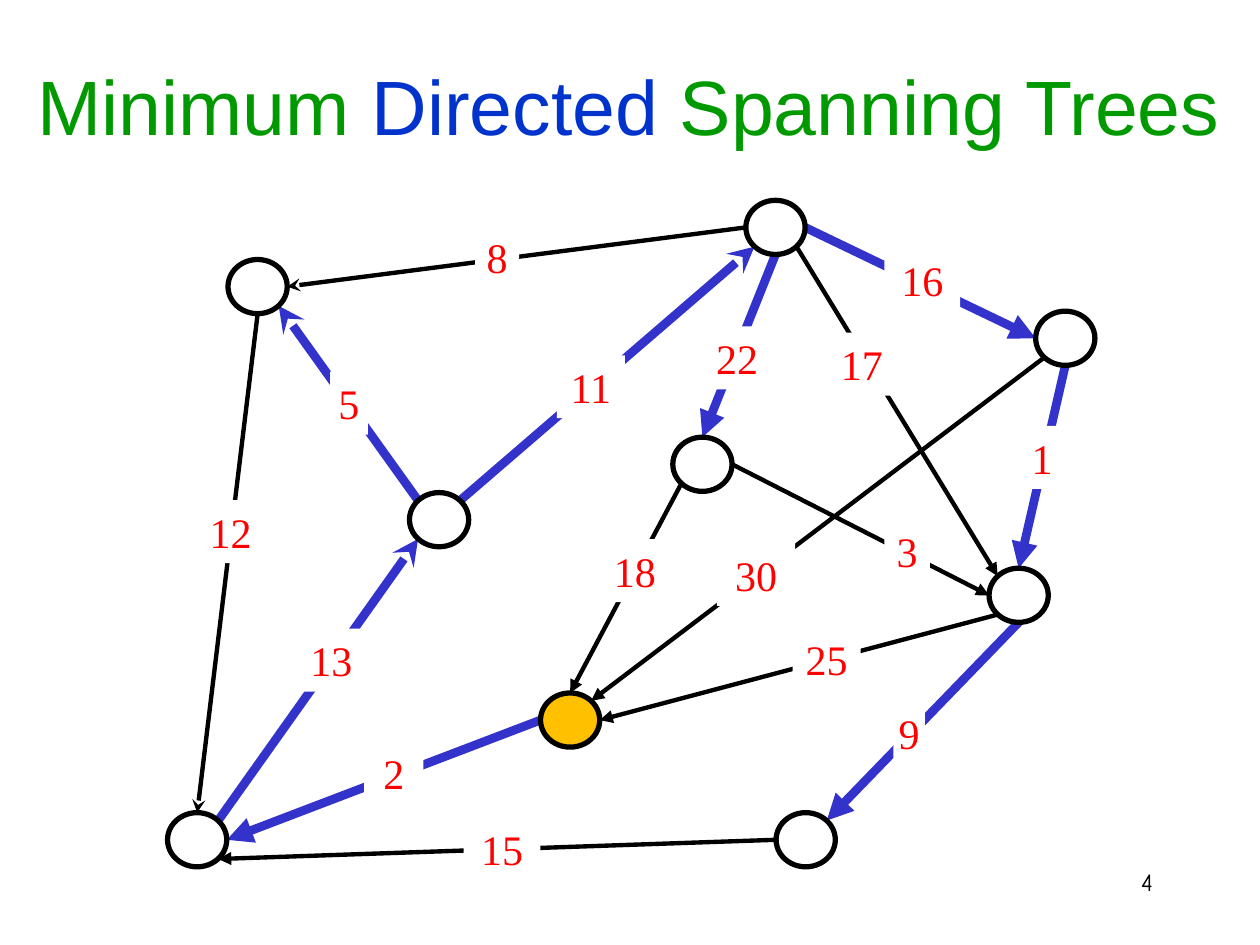
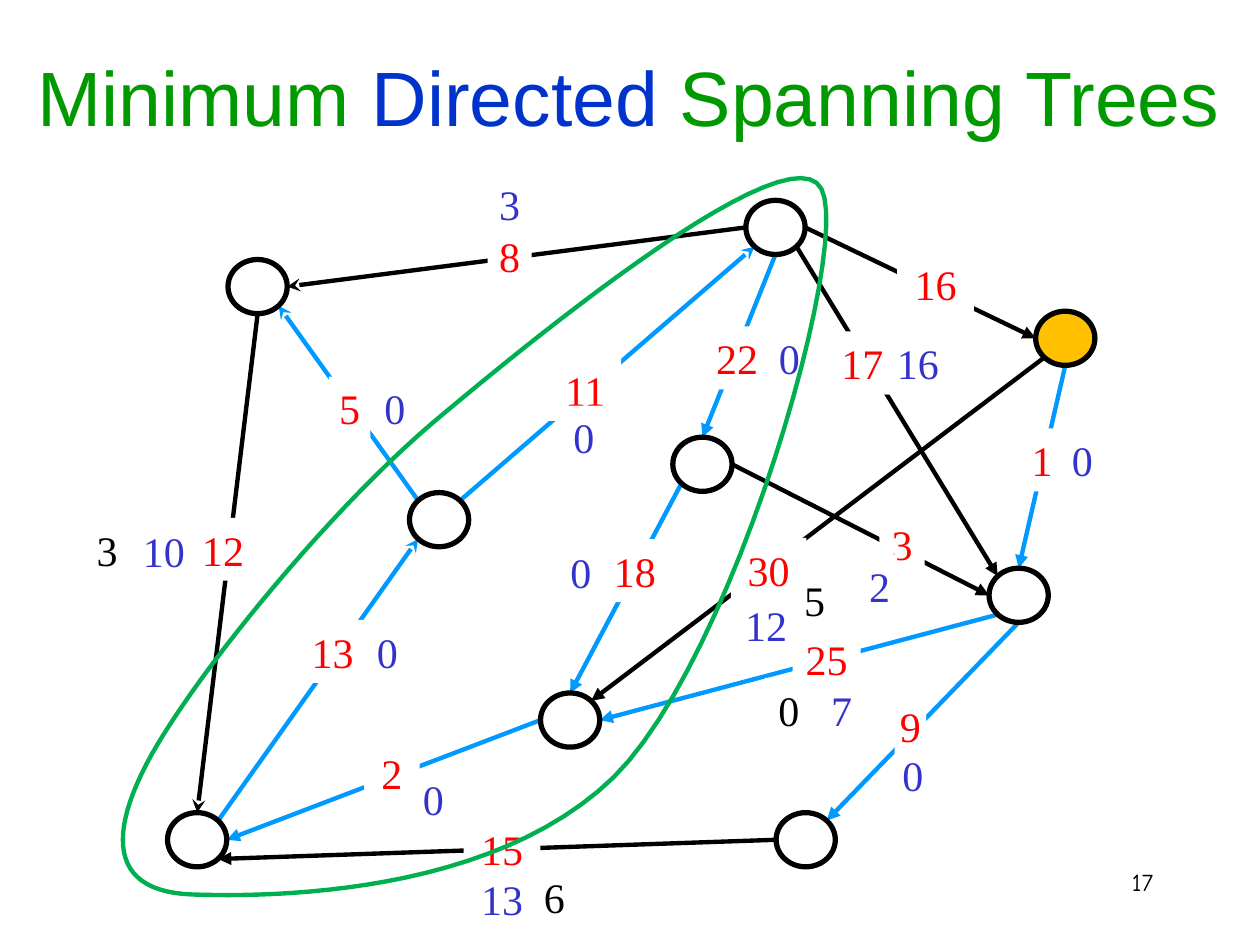
from lxml import etree
from pptx import Presentation
from pptx.dml.color import RGBColor
from pptx.enum.shapes import MSO_CONNECTOR, MSO_SHAPE
from pptx.enum.text import MSO_ANCHOR, MSO_AUTO_SIZE, PP_ALIGN
from pptx.oxml.ns import qn
from pptx.util import Inches, Pt

STRAIGHT = MSO_CONNECTOR.STRAIGHT
OVAL, RECTANGLE = MSO_SHAPE.OVAL, MSO_SHAPE.RECTANGLE
CENTER, RIGHT = PP_ALIGN.CENTER, PP_ALIGN.RIGHT
TOP, MIDDLE = MSO_ANCHOR.TOP, MSO_ANCHOR.MIDDLE
NO_FIT = MSO_AUTO_SIZE.NONE

COLORS = {
    "black": "000000", "white": "FFFFFF", "weight": "FF0000",
    "indigo": "3333CC", "sky": "0099FF", "root": "FFC000",
    "cycle": "00B050", "title": "009900", "directed": "0033CC",
}
TITLE = [("Minimum ", "title"), ("Directed", "directed"), (" Spanning Trees", "title")]
CANVAS = (0, 0)
NODE_WIDTH, NODE_HEIGHT = 0.47, 0.43
LABEL_HEIGHT = 0.5
CURVE_STEPS = 24

NODES = {
    "A": (1.81, 2.06), "B": (5.92, 1.59), "C": (8.22, 2.47),
    "D": (3.25, 3.91), "E": (5.34, 3.47), "F": (7.85, 4.51),
    "G": (4.29, 5.5), "H": (1.33, 6.45), "I": (6.16, 6.45),
}
DIAGONAL = 0.71
SITES = {
    "top": (0, -1), "bottom": (0, 1), "left": (-1, 0), "right": (1, 0),
    "top left": (-DIAGONAL, -DIAGONAL), "top right": (DIAGONAL, -DIAGONAL),
    "bottom left": (-DIAGONAL, DIAGONAL), "bottom right": (DIAGONAL, DIAGONAL),
}
EDGES = {
    5: ("D", "top left", "A", "bottom right", "stealth"),
    11: ("D", "top right", "B", "bottom left", "stealth"),
    1: ("C", "bottom", "F", "top", "triangle"),
    3: ("E", "right", "F", "left", "triangle"),
    2: ("G", "left", "H", "right", "triangle"),
    15: ("I", "left", "H", "bottom right", "triangle"),
    9: ("F", "bottom", "I", "top right", "triangle"),
    8: ("B", "left", "A", "right", "stealth"),
    12: ("A", "bottom", "H", "top", "stealth"),
    13: ("H", "top right", "D", "bottom left", "stealth"),
    25: ("F", "bottom left", "G", "right", "triangle"),
    30: ("C", "bottom left", "G", "top right", "triangle"),
    17: ("B", "bottom right", "F", "top left", "triangle"),
    18: ("E", "bottom left", "G", "top", "triangle"),
    16: ("B", "right", "C", "left", "triangle"),
    22: ("B", "bottom", "E", "top", "triangle"),
}

TREE_WEIGHTS = {
    5: (2.62, 2.95, 0.3), 12: (1.56, 3.97, 0.54), 8: (3.77, 1.79, 0.35),
    15: (3.68, 6.49, 0.61), 3: (7.02, 4.12, 0.36), 1: (8.11, 3.38, 0.32),
    9: (7.09, 5.57, 0.25), 16: (7.02, 1.97, 0.6), 13: (2.35, 4.99, 0.56),
    2: (2.89, 5.88, 0.47, 0.79), 17: (6.56, 2.64, 0.56), 25: (6.29, 4.98, 0.54),
    11: (4.42, 2.82, 0.54), 30: (5.69, 4.31, 0.62), 18: (4.76, 4.28, 0.56),
    22: (5.57, 2.59, 0.56),
}
CYCLE_WEIGHTS = TREE_WEIGHTS | {
    5: (2.61, 2.99, 0.33), 12: (1.5, 4.11, 0.54), 8: (3.87, 1.78, 0.35),
    3: (6.98, 4.07, 0.36), 1: (8.11, 3.4, 0.32), 9: (7.1, 5.51, 0.25),
    16: (7.12, 2, 0.61), 13: (2.35, 4.92, 0.58), 2: (2.89, 5.88, 0.44),
    17: (6.54, 2.63, 0.61), 11: (4.36, 2.84, 0.57), 30: (5.8, 4.27, 0.6),
}
REDUCED_COSTS_BELOW = [
    (0, (2.87, 4.92, 0.41)), (0, (3.15, 6.09, 0.58)), (3, (3.89, 1.37, 0.31)),
    (0, (2.97, 2.99, 0.33)), (0, (6.08, 2.59, 0.37)), (0, (4.4, 4.29, 0.42)),
    (12, (5.8, 4.71, 0.56)), (10, (1.01, 4.12, 0.58)),
]
REDUCED_COSTS_ABOVE = [
    (0, (8.43, 3.4, 0.32)), (2, (6.84, 4.4, 0.28)), (16, (7.01, 2.63, 0.55)),
    (0, (7.12, 5.9, 0.25)), (13, (3.68, 6.88, 0.61)), (7, (6.45, 5.38, 0.46)),
    (0, (4.42, 3.22, 0.43)),
]
CYCLE_COSTS = [
    (3, (0.56, 4.11, 0.58)), (0, (6.07, 5.38, 0.38)),
    (6, (4.14, 6.87, 0.52)), (5, (6.28, 4.51, 0.37)),
]
CYCLE_START = (1.16, 6.07)
CYCLE_CURVES = [
    ((1.48, 5.45), (2.54, 4.12), (3.43, 3.36)),
    ((4.33, 2.6), (6.28, 1.03), (6.52, 1.5)),
    ((6.76, 1.96), (5.83, 5.22), (4.87, 6.17)),
    ((3.9, 7.11), (2.15, 7.12), (1.53, 7.1)),
    ((0.92, 7.08), (0.84, 6.69), CYCLE_START),
]


def color(name):
    return RGBColor.from_string(COLORS[name])


def place(box, x, y):
    return Inches(box[0] + x), Inches(box[1] + y)


def format_span(span, font, size, name):
    span.font.name = font
    span.font.size = Pt(size)
    span.font.color.rgb = color(name)


def set_line(shape, name, width):
    shape.line.color.rgb = color(name)
    shape.line.width = Pt(width)


def add_title(page, box):
    title = page.shapes.title
    title.left, title.top = place(box, 0, 0)
    title.width, title.height = Inches(10), Inches(0.84)
    frame = title.text_frame
    frame.auto_size = NO_FIT
    frame.vertical_anchor = MIDDLE
    para = frame.paragraphs[0]
    para.alignment = CENTER
    for words, name in TITLE:
        span = para.add_run()
        span.text = words
        format_span(span, "Arial", 44, name)


def add_page_number(page, number, box):
    shape = page.shapes.add_textbox(*place(box, 0, 0), Inches(2.08), Inches(0.5))
    shape.text_frame.word_wrap = True
    para = shape.text_frame.paragraphs[0]
    para.text = str(number)
    para.alignment = RIGHT
    format_span(para.runs[0], "Comic Neue", 14, "black")


def add_label(page, box, value, spot, name):
    left, top, width, *height = spot
    label = page.shapes.add_shape(
        RECTANGLE, *place(box, left, top), Inches(width),
        Inches(height[0] if height else LABEL_HEIGHT))
    label.shadow.inherit = False
    label.fill.solid()
    label.fill.fore_color.rgb = color("white")
    label.line.fill.background()
    frame = label.text_frame
    frame.word_wrap = False
    frame.vertical_anchor = TOP
    para = frame.paragraphs[0]
    para.text = str(value)
    para.alignment = CENTER
    format_span(para.runs[0], "Times New Roman", 24, name)


def add_labels(page, box, labels, name):
    for value, spot in labels:
        add_label(page, box, value, spot, name)


def node_site(node, site):
    left, top = NODES[node]
    across, down = SITES[site]
    return (left + NODE_WIDTH / 2 * (1 + across),
            top + NODE_HEIGHT / 2 * (1 + down))


def add_edge(page, box, edge, name, width):
    start, start_site, end, end_site, arrow = edge
    line = page.shapes.add_connector(
        STRAIGHT, *place(box, *node_site(start, start_site)),
        *place(box, *node_site(end, end_site)))
    set_line(line, name, width)
    outline = line.line._get_or_add_ln()
    etree.SubElement(outline, qn("a:tailEnd"), type=arrow)
    etree.SubElement(line._element.spPr, qn("a:effectLst"))


def add_graph(page, box, root, weights, chosen, chosen_color, chosen_width):
    for weight, edge in EDGES.items():
        if weight in chosen:
            add_edge(page, box, edge, chosen_color, chosen_width)
        else:
            add_edge(page, box, edge, "black", 2.5)
    for node, corner in NODES.items():
        circle = page.shapes.add_shape(
            OVAL, *place(box, *corner), Inches(NODE_WIDTH), Inches(NODE_HEIGHT))
        circle.shadow.inherit = False
        set_line(circle, "black", 3)
        if node == root:
            circle.fill.solid()
            circle.fill.fore_color.rgb = color("root")
        else:
            circle.fill.background()
    add_labels(page, box, weights.items(), "weight")


def curve_point(points, t):
    shares = ((1 - t) ** 3, 3 * t * (1 - t) ** 2, 3 * t ** 2 * (1 - t), t ** 3)
    return [sum(share * value for share, value in zip(shares, axis))
            for axis in zip(*points)]


def add_cycle(page, box):
    outline = []
    start = CYCLE_START
    for curve in CYCLE_CURVES:
        outline += [place(box, *curve_point((start, *curve), step / CURVE_STEPS))
                    for step in range(1, CURVE_STEPS + 1)]
        start = curve[-1]
    builder = page.shapes.build_freeform(*place(box, *CYCLE_START))
    builder.add_line_segments(outline, close=True)
    cycle = builder.convert_to_shape()
    cycle.shadow.inherit = False
    cycle.fill.background()
    set_line(cycle, "cycle", 2.5)


def add_page(deck, number, title_top):
    page = deck.slides.add_slide(deck.slide_layouts[5])
    add_title(page, (-0.01, title_top))
    add_page_number(page, number, (7.17, 6.83))
    return page


def add_tree_page(deck, box):
    page = add_page(deck, 4, 0.41)
    add_graph(page, box, "G", TREE_WEIGHTS, {1, 2, 5, 9, 11, 13, 16, 22}, "indigo", 5)


def add_cycle_page(deck, box):
    page = add_page(deck, 17, 0.34)
    add_labels(page, box, REDUCED_COSTS_BELOW, "indigo")
    add_graph(page, box, "C", CYCLE_WEIGHTS,
              {1, 2, 5, 9, 11, 13, 18, 22, 25}, "sky", 2.5)
    add_labels(page, box, REDUCED_COSTS_ABOVE, "indigo")
    add_cycle(page, box)
    add_labels(page, box, CYCLE_COSTS, "black")


def main():
    deck = Presentation()
    deck.slide_width, deck.slide_height = Inches(10), Inches(7.5)
    add_tree_page(deck, CANVAS)
    add_cycle_page(deck, CANVAS)
    deck.save("out.pptx")


if __name__ == "__main__":
    main()
